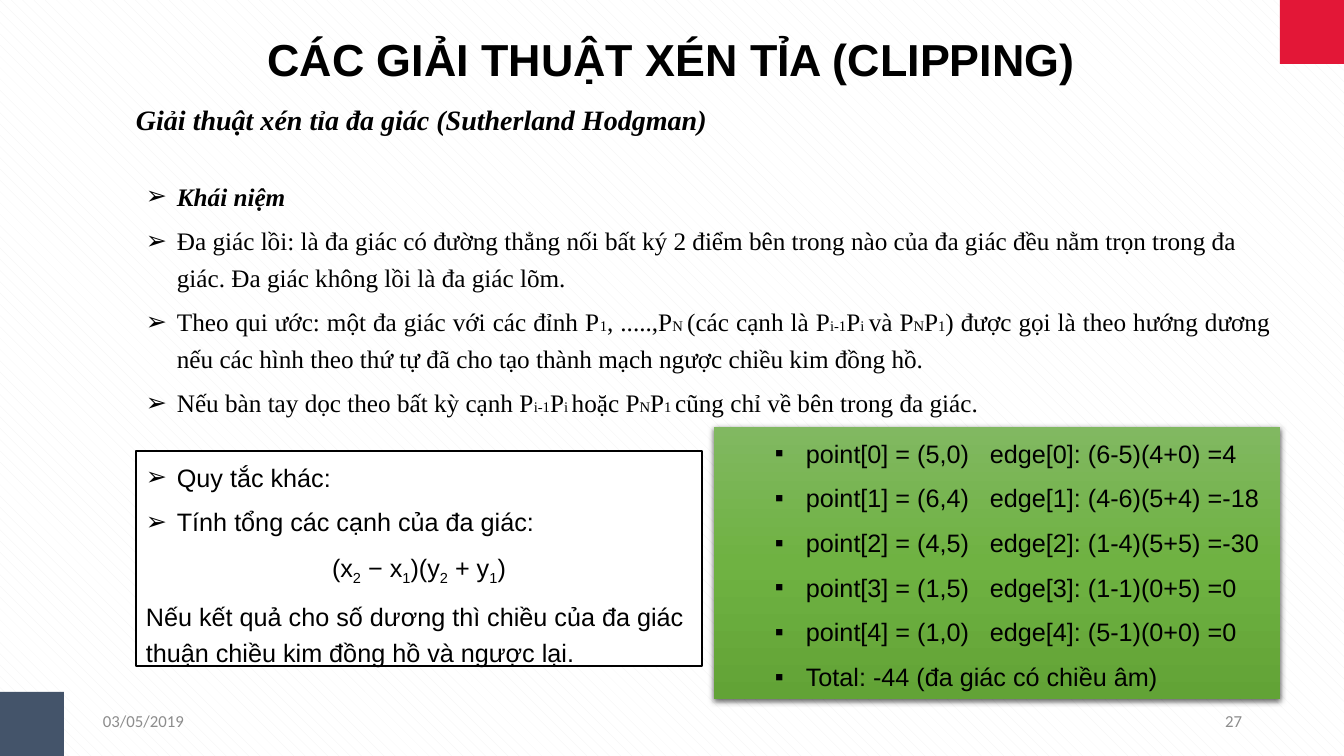
from lxml import etree
from pptx import Presentation
from pptx import util as u
from pptx.dml.color import RGBColor
from pptx.enum import dml, shapes, text
from pptx.oxml.ns import qn

PX = 914400 / 100.8
LEFT, MID, RIGHT, FULL = (text.PP_ALIGN.LEFT, text.PP_ALIGN.CENTER,
                          text.PP_ALIGN.RIGHT, text.PP_ALIGN.JUSTIFY)
TOP, CENTER = text.MSO_ANCHOR.TOP, text.MSO_ANCHOR.MIDDLE


def px(n):
    return u.Emu(round(n * PX))


def rgb(code):
    return RGBColor.from_string(code)


def node(root, tag, **attrs):
    return etree.SubElement(root, qn("a:" + tag), {k: str(v) for k, v in attrs.items()})


class Deck:
    def __init__(self):
        self.prs = Presentation()
        self.prs.slide_width, self.prs.slide_height = px(1344), px(756)
        self.slide = self.prs.slides.add_slide(self.prs.slide_layouts[6])
        self.serif, self.sans, self.small = "Times New Roman", "Arial", "Calibri"
        self.ink, self.grey = "000000", "8C8C8C"

    def ground(self, fore, back):
        fill = self.slide.background.fill
        fill.patterned()
        fill.pattern = dml.MSO_PATTERN.SHINGLE
        fill.fore_color.rgb, fill.back_color.rgb = rgb(fore), rgb(back)

    def rect(self, x, y, w, h, fill=None, line=None):
        box = self.slide.shapes.add_shape(shapes.MSO_SHAPE.RECTANGLE, *map(px, (x, y, w, h)))
        box.shadow.inherit = False
        if fill:
            box.fill.solid()
            box.fill.fore_color.rgb = rgb(fill)
        if line:
            box.line.color.rgb = rgb(line)
            box.line.width = u.Pt(1)
        else:
            box.line.fill.background()
        return self.frame(box, TOP)

    def area(self, x, y, w, h, anchor=TOP, inset=True):
        box = self.slide.shapes.add_textbox(*map(px, (x, y, w, h)))
        return self.frame(box, anchor, inset)

    def frame(self, box, anchor, inset=True):
        tf = box.text_frame
        tf.word_wrap, tf.vertical_anchor = True, anchor
        if not inset:
            tf.margin_left = tf.margin_right = tf.margin_top = tf.margin_bottom = 0
        return box

    def shade(self, box, stops):
        """Give the box a downward gradient and a soft shadow."""
        props = box.fill._xPr
        grad = etree.Element(qn("a:gradFill"), rotWithShape="1")
        row = node(grad, "gsLst")
        for pos, code in stops:
            node(node(row, "gs", pos=pos * 1000), "srgbClr", val=code)
        node(grad, "lin", ang=5400000, scaled=0)
        props.insert(2, grad)
        glow = node(props.find(qn("a:effectLst")), "outerShdw", blurRad=57150,
                    dist=19050, dir=5400000, algn="ctr", rotWithShape=0)
        node(node(glow, "srgbClr", val="000000"), "alpha", val=63000)

    def para(self, box, words, size, face, color=None, align=LEFT, bold=False,
             slant=False, bullet=None, indent=0, tabs=(), low=None, loose=True):
        """Add a paragraph; every second part between bars is set low.

        low is a smaller size in points, or None for a true subscript.
        """
        tf = box.text_frame
        first = not tf.paragraphs[0].runs
        p = tf.paragraphs[0] if first else tf.add_paragraph()
        p.alignment = align
        if loose:
            p.line_spacing = 1.2
            if not first:
                p.space_before = u.Pt(6)
        props = p._p.get_or_add_pPr()
        if bullet:
            props.set("marL", str(px(indent)))
            props.set("indent", str(px(-31)))
            node(props, "buFont", typeface="Arial")
            node(props, "buChar", char=bullet)
        if tabs:
            row = node(props, "tabLst")
            for pos, side in tabs:
                node(row, "tab", pos=px(pos), algn=side)
        font = p.font
        font.size, font.name, font.bold, font.italic = u.Pt(size), face, bold, slant
        font.color.rgb = rgb(color or self.ink)
        for i, part in enumerate(words.split("|")):
            run = p.add_run()
            run.text = part
            if i % 2 and low:
                run.font.size = u.Pt(low)
            elif i % 2:
                run._r.get_or_add_rPr().set("baseline", "-25000")


def main():
    d = Deck()
    d.ground("F2F2F2", "FFFFFF")
    d.rect(1280, 0, 64, 64, "E31737")
    d.rect(0, 692, 64, 64, "44546A")

    for x, words, align in ((93, "03/05/2019", LEFT), (950, "27", RIGHT)):
        foot = d.area(x, 701, 302, 40, CENTER)
        d.para(foot, words, 12, d.small, d.grey, align, loose=False)

    title = d.area(161, 32, 1021, 54, CENTER, inset=False)
    d.para(title, "CÁC GIẢI THUẬT XÉN TỈA (CLIPPING)", 32, d.sans,
           align=MID, bold=True, loose=False)
    head = d.area(136, 102, 1133, 34, inset=False)
    d.para(head, "Giải thuật xén tỉa đa giác (Sutherland Hodgman)", 20, d.serif,
           bold=True, slant=True, loose=False)

    body = d.area(136, 170, 1144, 255)
    arrow = dict(bullet="➢", indent=31)
    d.para(body, "Khái niệm", 18, d.serif, bold=True, slant=True, **arrow)
    for words, align in (
        ("Đa giác lồi: là đa giác có đường thẳng nối bất ký 2 điểm bên trong nào của "
         "đa giác đều nằm trọn trong đa giác. Đa giác không lồi là đa giác lõm.", LEFT),
        ("Theo qui ước: một đa giác với các đỉnh P|1|, .....,P|N |(các cạnh là P|i-1|P|i |"
         "và P|N|P|1|) được gọi là theo hướng dương nếu các hình theo thứ tự đã cho tạo "
         "thành mạch ngược chiều kim đồng hồ.", FULL),
        ("Nếu bàn tay dọc theo bất kỳ cạnh P|i-1|P|i |hoặc P|N|P|1 |cũng chỉ về bên "
         "trong đa giác.", LEFT),
    ):
        d.para(body, words, 18, d.serif, align=align, low=10.5, **arrow)

    sums = d.rect(714, 427, 566, 272)
    d.shade(sums, ((0, "81B861"), (50, "6FB242"), (100, "62A336")))
    square = dict(bullet="▪", indent=82, tabs=((266, "l"), (541, "r")))
    for i, (point, edge, value) in enumerate((
        ("5,0", "(6-5)(4+0)", 4),
        ("6,4", "(4-6)(5+4)", -18),
        ("4,5", "(1-4)(5+5)", -30),
        ("1,5", "(1-1)(0+5)", 0),
        ("1,0", "(5-1)(0+0)", 0),
    )):
        d.para(sums, f"point[{i}] = ({point})\tedge[{i}]: {edge} =\t{value}",
               18, d.sans, **square)
    d.para(sums, "Total: -44 (đa giác có chiều âm)", 18, d.sans, **square)

    rule = d.rect(136, 451, 566, 215, "FFFFFF", d.ink)
    for words in ("Quy tắc khác:", "Tính tổng các cạnh của đa giác:"):
        d.para(rule, words, 18, d.sans, **arrow)
    d.para(rule, "(x|2| − x|1|)(y|2| + y|1|)", 18, d.sans, align=MID)
    d.para(rule, "Nếu kết quả cho số dương thì chiều của đa giác thuận chiều kim đồng hồ "
           "và ngược lại.", 18, d.sans)
    d.prs.save("out.pptx")


if __name__ == "__main__":
    main()
